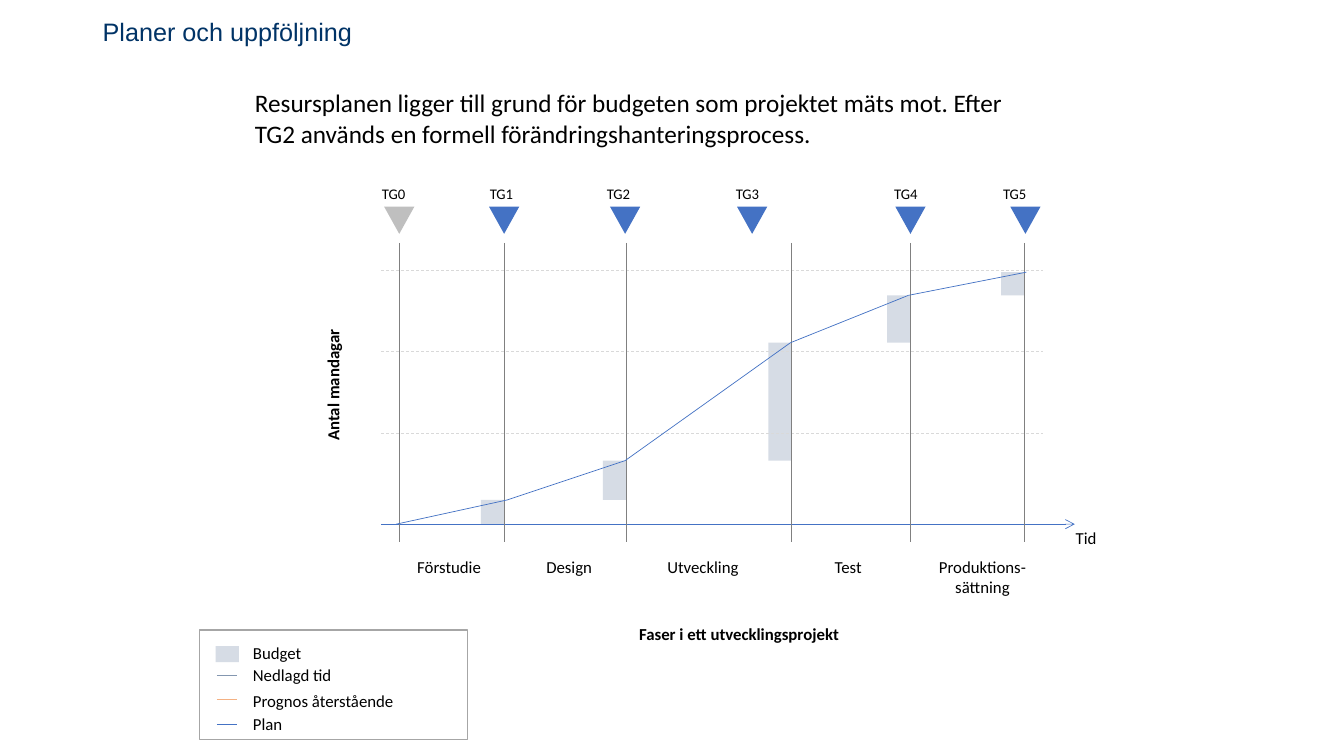
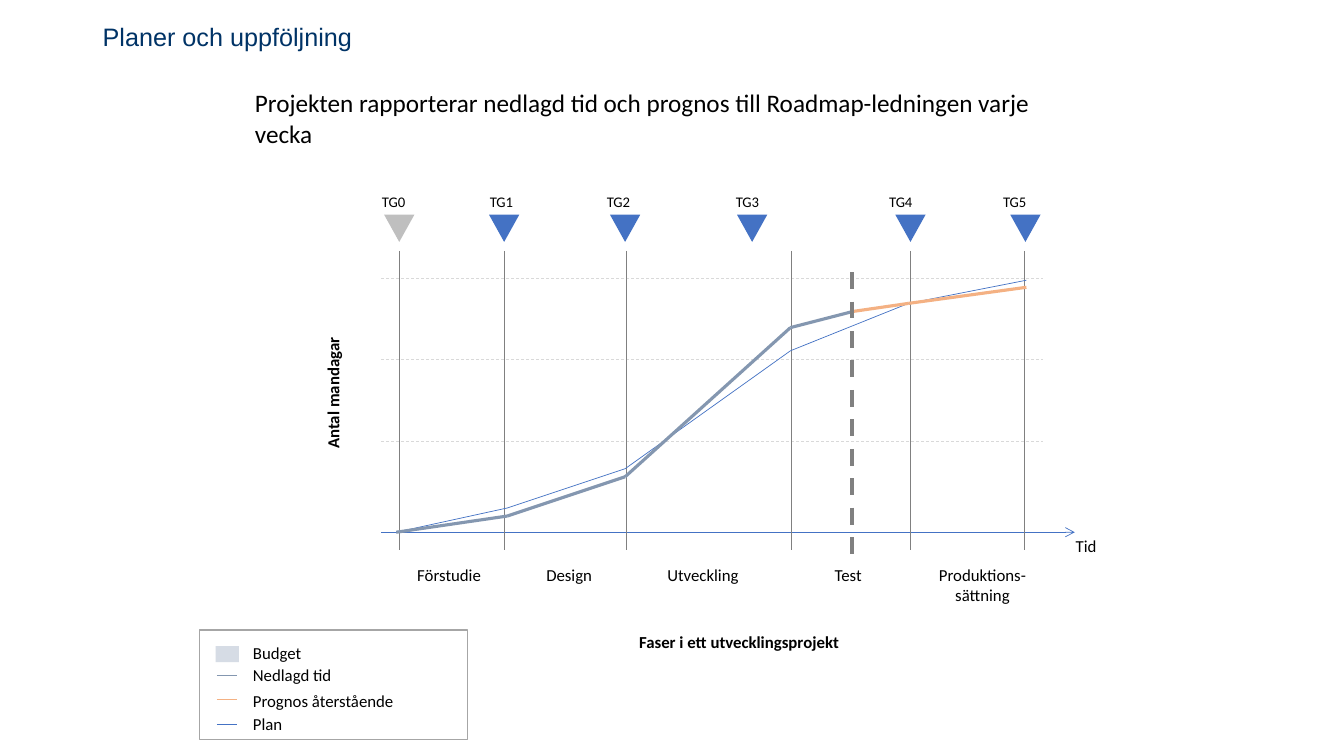
"""Build two slides on resource planning and follow-up in a development project."""
from itertools import pairwise

from lxml import etree
from pptx import Presentation
from pptx.dml.color import RGBColor
from pptx.enum.dml import MSO_LINE
from pptx.enum.shapes import MSO_CONNECTOR, MSO_SHAPE
from pptx.enum.text import MSO_ANCHOR, MSO_AUTO_SIZE, PP_ALIGN
from pptx.oxml.ns import qn
from pptx.util import Inches, Pt

NAVY = RGBColor(0x00, 0x33, 0x66)
BLUE = RGBColor(0x44, 0x72, 0xC4)
SLATE = RGBColor(0x84, 0x97, 0xB0)
ORANGE = RGBColor(0xF4, 0xB1, 0x83)
PALE = RGBColor(0xD6, 0xDC, 0xE5)
LIGHT = RGBColor(0xD9, 0xD9, 0xD9)
SILVER = RGBColor(0xBF, 0xBF, 0xBF)
FRAME = RGBColor(0xA6, 0xA6, 0xA6)
GREY = RGBColor(0x80, 0x80, 0x80)
BLACK = RGBColor(0x00, 0x00, 0x00)
WHITE = RGBColor(0xFF, 0xFF, 0xFF)

CELL = Inches(0.1)
GATES = [39.6, 50, 62.1, 78.5, 90.3, 101.6]
MARKERS = [39.6, 50, 62, 74.6, 90.3, 101.7]
GATE_LABELS = [36.9, 47.6, 59.2, 72, 87.7, 98.5]
PHASES = [("Förstudie", 40.4, 8.4), ("Design", 53.2, 6.6),
          ("Utveckling", 65.2, 9.2), ("Test", 81.8, 4.7)]
PLAN = [(39.3, 0), (50.3, 2.4), (62, 6.3), (78.4, 18), (90.1, 22.7), (101.8, 25)]
ACTUAL = [(39.3, 0), (50.3, 1.6), (62, 5.5), (78.4, 20.3), (84.6, 21.9)]
FORECAST = [(84.6, 21.9), (90.1, 22.7), (101.8, 24.3)]
LEGEND = [("Nedlagd tid", 65.5, 9.9, 67, SLATE),
          ("Prognos återstående", 68, 16.1, 69.4, ORANGE),
          ("Plan", 70.3, 5, 71.9, BLUE)]


def cells(*counts):
    return [round(n * CELL) for n in counts]


def add_text(s, text, x, y, w, h=3, size=12, font="Calibri", color=BLACK,
             bold=False, wrap=False, align=PP_ALIGN.LEFT):
    sp = s.shapes.add_textbox(*cells(x, y, w, h))
    tf = sp.text_frame
    tf.text = text
    tf.word_wrap = wrap
    tf.auto_size = MSO_AUTO_SIZE.SHAPE_TO_FIT_TEXT
    p = tf.paragraphs[0]
    p.alignment = align
    f = p.runs[0].font
    f.name, f.size, f.bold = font, Pt(size), bold
    f.color.rgb = color
    return sp


def add_block(s, kind, x, y, w, h, fill, line=None):
    sp = s.shapes.add_shape(kind, *cells(x, y, w, h))
    sp.shadow.inherit = False
    sp.fill.solid()
    sp.fill.fore_color.rgb = fill
    if line is None:
        sp.line.fill.background()
    else:
        sp.line.color.rgb = line
        sp.line.width = Pt(0.75)
    return sp


def add_line(s, start, end, color, width=0.5, dash=False, arrow=False):
    c = s.shapes.add_connector(MSO_CONNECTOR.STRAIGHT, *cells(*start, *end))
    c.line.color.rgb = color
    c.line.width = Pt(width)
    if dash:
        c.line.dash_style = MSO_LINE.DASH
    if arrow:
        etree.SubElement(c.line._get_or_add_ln(), qn("a:tailEnd"), type="arrow")
    etree.SubElement(c._element.spPr, qn("a:effectLst"))


def add_curve(s, base, points, color, width=0.5):
    for (x1, up1), (x2, up2) in pairwise(points):
        add_line(s, (x1, base - up1), (x2, base - up2), color, width)


def add_heading(s, y, h, message, width):
    sp = add_text(s, "Planer och uppföljning", 9.2, y, 115, h, 18, "Arial", NAVY, wrap=True)
    tf = sp.text_frame
    tf.auto_size = MSO_AUTO_SIZE.NONE
    tf.vertical_anchor = MSO_ANCHOR.MIDDLE
    tf.paragraphs[0].line_spacing = 0.9
    add_text(s, message, 24.3, 8.2, width, 7.1, 18, wrap=True)


def add_budget(s, base):
    for gate, ((_, low), (_, high)) in zip(GATES[1:], pairwise(PLAN)):
        add_block(s, MSO_SHAPE.RECTANGLE, gate - 2.3, base - high, 2.3, high - low, PALE)


def add_gates(s, base, label_shifts):
    for i, (center, left) in enumerate(zip(MARKERS, GATE_LABELS)):
        sp = add_block(s, MSO_SHAPE.ISOSCELES_TRIANGLE, center - 1.5, base - 31.5, 3, 2.7,
                       BLUE if i else SILVER)
        sp.rotation = 180
        add_text(s, f"TG{i}", left + label_shifts.get(i, 0), base - 34.2, 4.4, 2.8, 10.5)


def add_axes(s, base):
    add_line(s, (37.8, base), (106.6, base), BLUE, arrow=True)
    for i in range(3):
        y = base - 9 - 8.1 * i
        add_line(s, (37.8, y), (103.4, y), LIGHT, dash=True)
    for x in GATES:
        add_line(s, (x, base - 27.9), (x, base + 1.8), GREY)
    for name, x, w in PHASES:
        add_text(s, name, x, base + 2.7, w)
    add_text(s, "Produktions-sättning", 90.1, base + 2.7, 14.7, 5, wrap=True,
             align=PP_ALIGN.CENTER)
    sp = add_text(s, "Antal mandagar", 26.4, base - 15.4, 13.2, bold=True)
    sp.rotation = 270
    add_text(s, "Faser i ett utvecklingsprojekt", 62.4, base + 9.4, 22.1, bold=True)
    add_text(s, "Tid", 105.7, base - 0.1, 4.1)


def add_legend(s):
    add_block(s, MSO_SHAPE.RECTANGLE, 19.8, 62.5, 26.6, 10.9, WHITE, FRAME)
    add_block(s, MSO_SHAPE.RECTANGLE, 21.4, 64.1, 2.3, 1.6, PALE)
    add_text(s, "Budget", 24.1, 63.3, 6.9)
    for name, y, w, line_y, color in LEGEND:
        add_text(s, name, 24.1, y, w)
        add_line(s, (21.5, line_y), (23.5, line_y), color)


def add_chart_parts(s, base, label_shifts):
    add_legend(s)
    add_axes(s, base)
    add_gates(s, base, label_shifts)
    add_curve(s, base, PLAN, BLUE)


def build_budget_slide(s):
    base = 52
    add_heading(s, 1.7, 3.3, "Resursplanen ligger till grund för budgeten som projektet mäts mot. "
                "Efter TG2 används en formell förändringshanteringsprocess.", 80.5)
    add_budget(s, base)
    add_chart_parts(s, base, {})


def build_forecast_slide(s):
    base = 52.8
    add_heading(s, 2.1, 3.4, "Projekten rapporterar nedlagd tid och prognos till "
                "Roadmap-ledningen varje vecka", 84.5)
    add_chart_parts(s, base, {4: -0.5})
    add_curve(s, base, ACTUAL, SLATE, 2.25)
    add_curve(s, base, FORECAST, ORANGE, 2.25)
    add_line(s, (84.5, 27), (84.5, 55), GREY, 3, dash=True)


def main():
    prs = Presentation()
    prs.slide_width, prs.slide_height = Inches(13.33), Inches(7.5)
    for build in (build_budget_slide, build_forecast_slide):
        build(prs.slides.add_slide(prs.slide_layouts[6]))
    prs.save("out.pptx")


if __name__ == "__main__":
    main()
